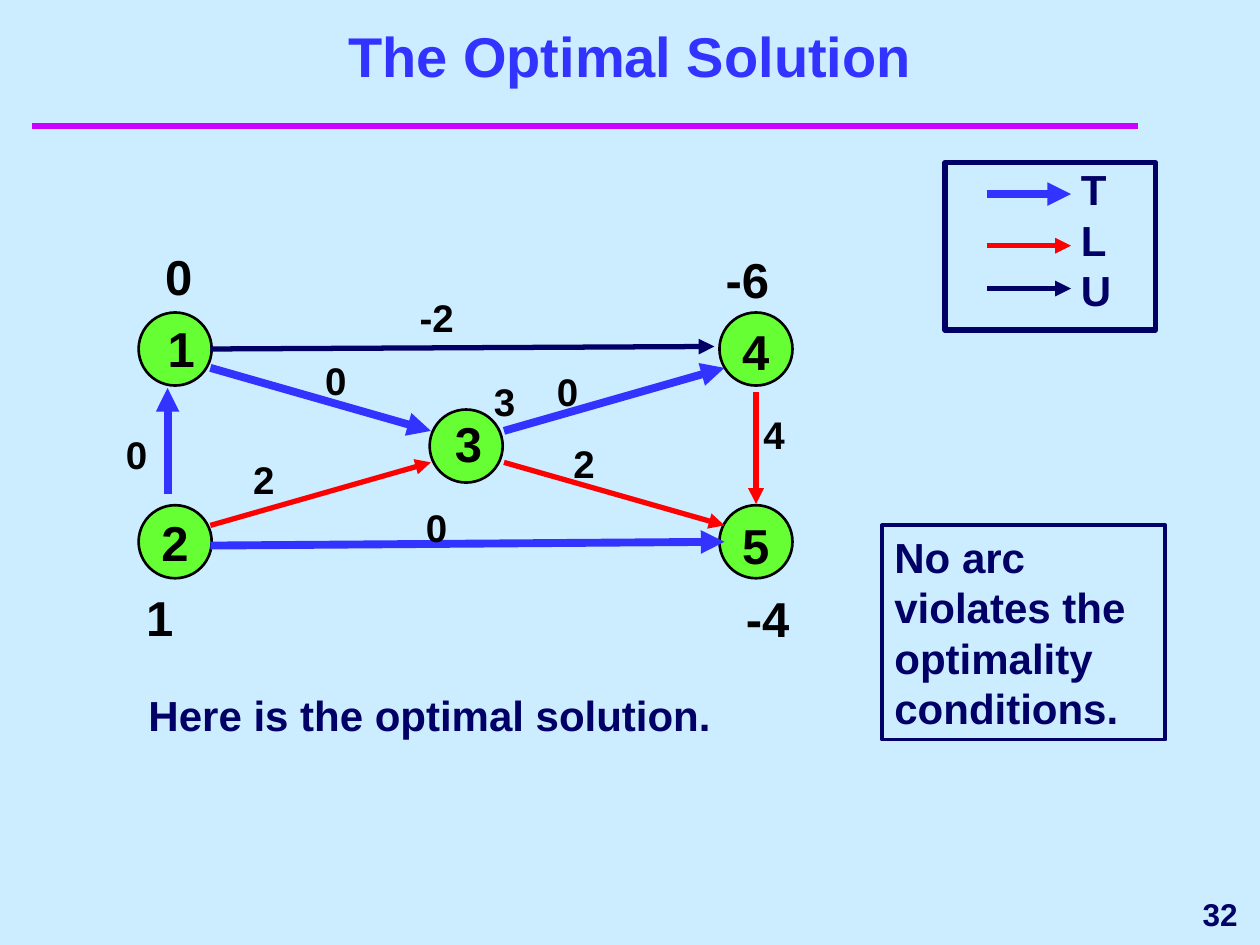
import pptx
import pptx.util
import pptx.dml.color
import pptx.enum.shapes
import pptx.enum.text
import lxml.etree

Inches = pptx.util.Inches
Pt = pptx.util.Pt
RGBColor = pptx.dml.color.RGBColor
Shape = pptx.enum.shapes.MSO_SHAPE
Align = pptx.enum.text.PP_ALIGN
Anchor = pptx.enum.text.MSO_ANCHOR

SKY = RGBColor(0xCC, 0xEC, 0xFF)
NAVY = RGBColor(0x00, 0x00, 0x66)
BLUE = RGBColor(0x33, 0x33, 0xFF)
RED = RGBColor(0xFF, 0x00, 0x00)
GREEN = RGBColor(0x66, 0xFF, 0x33)
PINK = RGBColor(0xCC, 0x00, 0xFF)
BLACK = RGBColor(0x00, 0x00, 0x00)

prs = pptx.Presentation()
prs.slide_width = Inches(10)
prs.slide_height = Inches(7.5)
slide = prs.slides.add_slide(prs.slide_layouts[6])
slide.background.fill.solid()
slide.background.fill.fore_color.rgb = SKY


def write(shape, lines, size, color, align=Align.LEFT, anchor=Anchor.TOP, wrap=True, inset=True):
    frame = shape.text_frame
    frame.word_wrap = wrap
    frame.vertical_anchor = anchor
    frame.margin_left = frame.margin_right = Inches(0.1 if inset else 0)
    frame.margin_top = frame.margin_bottom = Inches(0.05 if inset else 0)
    for i, line in enumerate(lines):
        para = frame.paragraphs[0] if i == 0 else frame.add_paragraph()
        para.alignment = align
        run = para.add_run()
        run.text = line
        run.font.name = "Arial"
        run.font.size = Pt(size)
        run.font.bold = True
        run.font.color.rgb = color


def link(x1, y1, x2, y2, color, width, arrow=True):
    line = slide.shapes.add_connector(
        pptx.enum.shapes.MSO_CONNECTOR.STRAIGHT, Inches(x1), Inches(y1), Inches(x2), Inches(y2))
    line.line.color.rgb = color
    line.line.width = Pt(width)
    if arrow:
        tail = lxml.etree.SubElement(line.line._get_or_add_ln(), pptx.oxml.ns.qn("a:tailEnd"))
        tail.set("type", "triangle")
    lxml.etree.SubElement(line._element.spPr, pptx.oxml.ns.qn("a:effectLst"))


link(0.25, 1, 9.03, 1, PINK, 4, arrow=False)

page = slide.shapes.add_textbox(Inches(8), Inches(7), Inches(1.92), Inches(0.5))
write(page, ["32"], 18, NAVY, Align.RIGHT, Anchor.MIDDLE)
title = slide.shapes.add_textbox(Inches(0), Inches(0.33), Inches(10), Inches(0.42))
write(title, ["The Optimal Solution"], 32, BLUE, Align.CENTER, Anchor.BOTTOM)

for x, y in [(1.1, 2.48), (1.1, 4.01), (5.71, 4.01), (3.41, 3.25), (5.71, 2.48)]:
    node = slide.shapes.add_shape(Shape.OVAL, Inches(x), Inches(y), Inches(0.58), Inches(0.58))
    node.shadow.inherit = False
    node.fill.solid()
    node.fill.fore_color.rgb = GREEN
    node.line.color.rgb = BLACK
    node.line.width = Pt(1.5)

tree = [
    (1.33, 3.92, 1.33, 3.08),
    (1.67, 4.33, 5.75, 4.3),
    (1.67, 2.92, 3.42, 3.42),
    (4, 3.42, 5.75, 2.92),
    (7.83, 1.54, 8.5, 1.54),
]
lower = [
    (6, 3.11, 6, 4),
    (4, 3.67, 5.75, 4.17),
    (1.67, 4.17, 3.42, 3.67),
    (7.83, 1.95, 8.5, 1.95),
]
upper = [(1.67, 2.77, 5.67, 2.75), (7.83, 2.29, 8.5, 2.29)]
for arcs, color, width in [(upper, NAVY, 3), (tree, BLUE, 4.5), (lower, RED, 3)]:
    for arc in arcs:
        link(*arc, color, width)

names = [("1", 1.33, 2.53), ("2", 1.28, 4.07), ("4", 5.89, 2.55), ("5", 5.89, 4.09), ("3", 3.61, 3.28)]
duals = [("0", 1.31, 1.96), ("-6", 5.76, 1.98), ("1", 1.16, 4.66), ("-4", 5.92, 4.67)]
costs = [
    ("-2", 3.33, 2.33), ("4", 6.06, 3.26), ("2", 4.55, 3.49), ("0", 3.38, 4), ("2", 2.01, 3.62),
    ("0", 1, 3.42), ("0", 2.58, 2.83), ("0", 4.42, 2.92), ("3", 3.92, 3),
]
for group, size, wide, high in [(names + duals, 28, 0.22, 0.47), (costs, 22, 0.17, 0.37)]:
    for text, x, y in group:
        span = wide * 1.6 if len(text) > 1 else wide
        label = slide.shapes.add_textbox(Inches(x), Inches(y), Inches(span), Inches(high))
        write(label, [text], size, BLACK, wrap=False, inset=False)

key = slide.shapes.add_textbox(Inches(8.48), Inches(1.25), Inches(0.44), Inches(1.3))
write(key, ["T", "L", "U"], 24, NAVY, wrap=False)
note = slide.shapes.add_textbox(Inches(1.08), Inches(5.42), Inches(4.92), Inches(0.5))
write(note, ["Here is the optimal solution."], 24, NAVY)

boxes = [
    (7.5, 1.29, 1.67, 1.33, 3, []),
    (7, 4.17, 2.25, 1.7, 2.25, ["No arc violates the optimality conditions."]),
]
for x, y, wide, high, width, lines in boxes:
    box = slide.shapes.add_shape(Shape.RECTANGLE, Inches(x), Inches(y), Inches(wide), Inches(high))
    box.shadow.inherit = False
    box.fill.background()
    box.line.color.rgb = NAVY
    box.line.width = Pt(width)
    write(box, lines, 24, NAVY)

prs.save("out.pptx")
